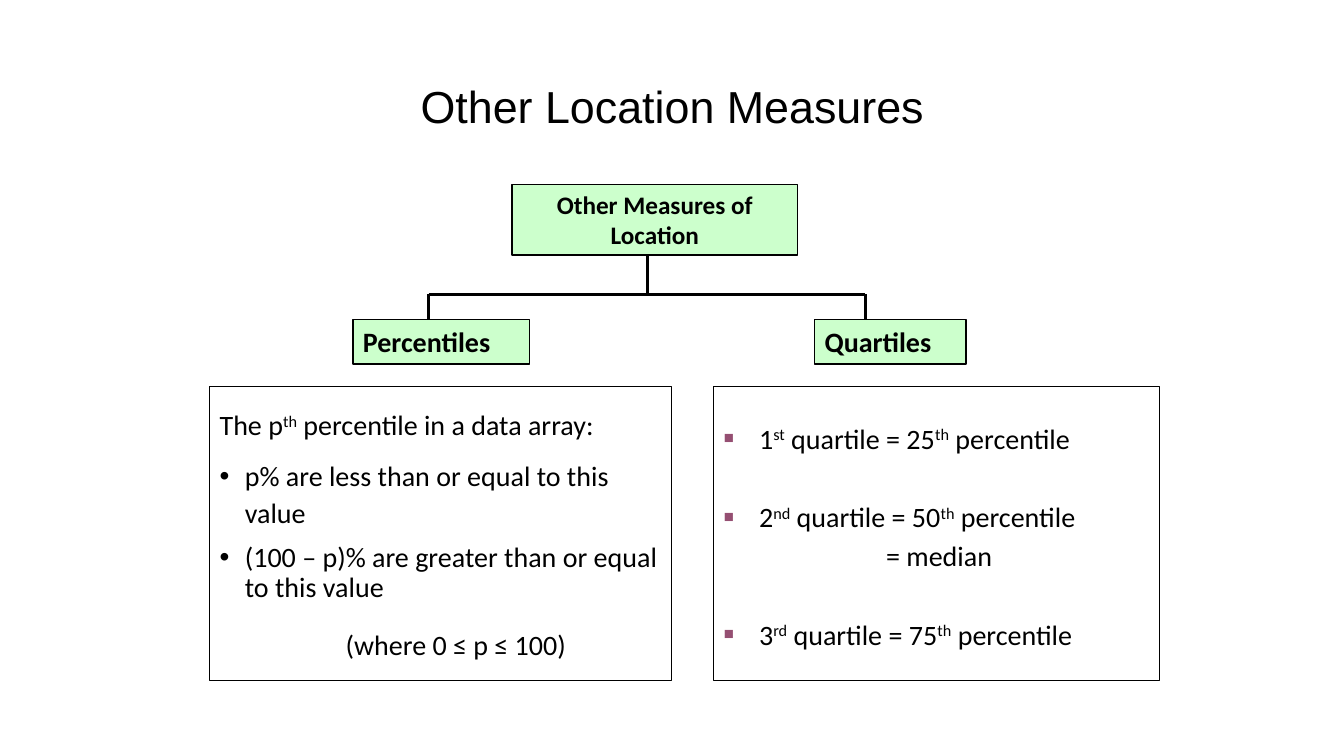
"""Builds a slide that explains percentiles and quartiles as other measures of location."""
from dataclasses import dataclass

from lxml.etree import SubElement
from pptx import Presentation
from pptx.dml.color import RGBColor
from pptx.enum.shapes import MSO_CONNECTOR as Connector, MSO_SHAPE as Shape
from pptx.enum.text import MSO_ANCHOR as Anchor, PP_ALIGN as Align
from pptx.oxml.ns import qn
from pptx.util import Inches, Pt


@dataclass(frozen=True)
class Theme:
    black: str = "000000"
    green: str = "CCFFCC"
    plum: str = "954F72"
    title_font: str = "Arial"
    body_font: str = "Calibri"
    title_size: int = 32
    root_size: int = 18
    body_size: int = 20
    connector_width: float = 2.25
    label_border: float = 1
    panel_border: float = 0.75


@dataclass(frozen=True)
class Line:
    text: str
    spacing: float = 1
    before: float = 0
    indent: float = 0
    hanging: float = 0
    bullet: str = ""
    bullet_color: str = Theme.black
    bullet_percent: int = 100


class SlideBuilder:
    def __init__(self, page, theme):
        self.page = page
        self.theme = theme

    def add_lines(self, box, lines, size, font=Theme.body_font, bold=False,
                  align=Align.LEFT, anchor=Anchor.TOP):
        frame = box.text_frame
        frame.word_wrap = True
        frame.vertical_anchor = anchor
        for index, line in enumerate(lines):
            para = frame.add_paragraph() if index else frame.paragraphs[0]
            para.alignment = align
            para.line_spacing = line.spacing
            para.space_before = Pt(line.before)
            self.indent(para, line)
            for position, piece in enumerate(line.text.split("^")):
                span = para.add_run()
                span.text = piece
                span.font.name = font
                span.font.size = Pt(size)
                span.font.bold = bold
                span.font.color.rgb = RGBColor.from_string(self.theme.black)
                if position % 2:
                    span.font._element.set("baseline", "30000")

    def indent(self, para, line):
        properties = para._p.get_or_add_pPr()
        properties.set("marL", str(Inches(line.indent)))
        properties.set("indent", str(-Inches(line.hanging)))
        if line.bullet:
            color = SubElement(properties, qn("a:buClr"))
            SubElement(color, qn("a:srgbClr"), val=line.bullet_color)
            SubElement(properties, qn("a:buSzPct"), val=str(line.bullet_percent * 1000))
            SubElement(properties, qn("a:buFont"), typeface=self.theme.title_font)
            SubElement(properties, qn("a:buChar"), char=line.bullet)

    def title(self, text, left, top, width, height):
        box = self.page.shapes.add_textbox(
            Inches(left), Inches(top), Inches(width), Inches(height))
        self.add_lines(box, [Line(text, spacing=0.9)], self.theme.title_size,
                       self.theme.title_font, align=Align.CENTER, anchor=Anchor.MIDDLE)

    def rectangle(self, left, top, width, height, border, fill=None):
        box = self.page.shapes.add_shape(
            Shape.RECTANGLE, Inches(left), Inches(top), Inches(width), Inches(height))
        box.shadow.inherit = False
        if fill:
            box.fill.solid()
            box.fill.fore_color.rgb = RGBColor.from_string(fill)
        else:
            box.fill.background()
        box.line.color.rgb = RGBColor.from_string(self.theme.black)
        box.line.width = Pt(border)
        return box

    def label(self, text, left, top, width, height, size, align=Align.LEFT):
        box = self.rectangle(left, top, width, height,
                             self.theme.label_border, self.theme.green)
        self.add_lines(box, [Line(text)], size, bold=True, align=align)

    def panel(self, lines, left, top, width, height):
        box = self.rectangle(left, top, width, height, self.theme.panel_border)
        self.add_lines(box, lines, self.theme.body_size)

    def connector(self, x1, y1, x2, y2):
        link = self.page.shapes.add_connector(
            Connector.STRAIGHT, Inches(x1), Inches(y1), Inches(x2), Inches(y2))
        link.line.color.rgb = RGBColor.from_string(self.theme.black)
        link.line.width = Pt(self.theme.connector_width)
        SubElement(link._element.spPr, qn("a:effectLst"))


def quartile(text, spacing=1, before=32):
    return Line(text, spacing, before, 0.35, 0.35, "■", Theme.plum, 60)


def condition(text, spacing):
    return Line(text, spacing, 10, 0.25, 0.25, "•")


deck = Presentation()
deck.slide_width = Inches(13.33)
deck.slide_height = Inches(7.5)
theme = Theme()
builder = SlideBuilder(deck.slides.add_slide(deck.slide_layouts[6]), theme)

root_x, branch_y, label_y, panel_y = 6.42, 2.92, 3.17, 3.83
branches = [4.25, 8.58]
builder.connector(root_x, 2.42, root_x, branch_y)
builder.connector(branches[0], branch_y, branches[1], branch_y)
for branch_x in branches:
    builder.connector(branch_x, branch_y, branch_x, 3.42)

builder.title("Other Location Measures", 2.42, 0.67, 8.5, 0.83)
builder.label("Other Measures of Location", 5.08, 1.83, 2.83, 0.7,
              theme.root_size, Align.CENTER)
for name, left, width in [("Percentiles", 3.5, 1.75), ("Quartiles", 8.08, 1.5)]:
    builder.label(name, left, label_y, width, 0.44, theme.body_size)

percentile_lines = [
    Line("The p^th^ percentile in a data array:", 1.5),
    condition("p% are less than or equal to this value", 1.1),
    condition("(100 – p)% are greater than or equal to this value", 0.9),
    Line("(where 0 ≤ p ≤ 100)", 1.3, 10, 1.25),
]
quartile_lines = [
    quartile("1^st^ quartile = 25^th^ percentile", 1.9, 0),
    quartile("2^nd^ quartile = 50^th^ percentile"),
    Line("= median", before=4, indent=1.61),
    quartile("3^rd^ quartile = 75^th^ percentile"),
]
builder.panel(percentile_lines, 2.08, panel_y, 4.58, 2.92)
builder.panel(quartile_lines, 7.08, panel_y, 4.42, 2.92)

deck.save("out.pptx")
